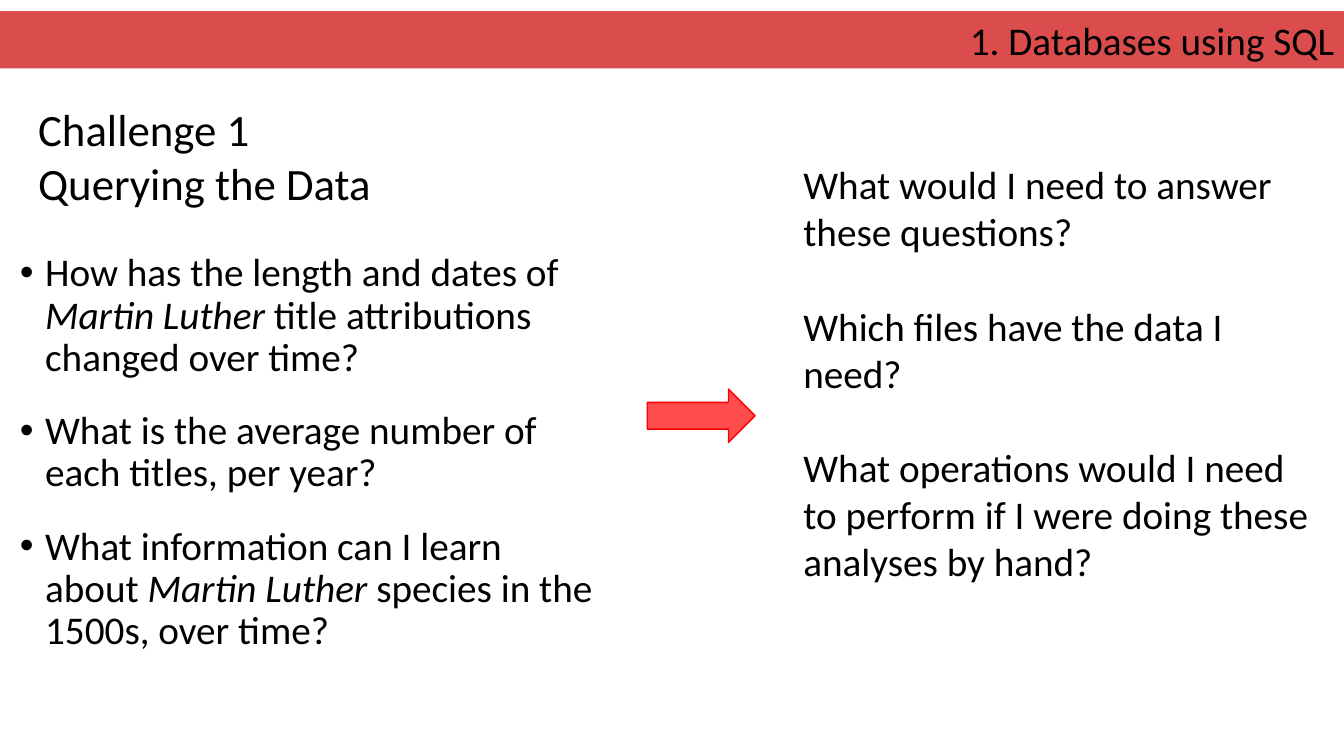
from lxml import etree
from pptx import Presentation
from pptx.dml.color import RGBColor
from pptx.enum.shapes import MSO_SHAPE
from pptx.enum.text import MSO_ANCHOR, PP_ALIGN
from pptx.oxml.ns import qn
from pptx.util import Inches, Pt

RECTANGLE, RIGHT_ARROW = MSO_SHAPE.RECTANGLE, MSO_SHAPE.RIGHT_ARROW
LEFT, RIGHT, TOP = PP_ALIGN.LEFT, PP_ALIGN.RIGHT, MSO_ANCHOR.TOP

FONT = "Calibri"
BLACK, DARK_RED, RED = "000000", "CC0000", "FF0000"
OPACITY = 70
ITALIC_NAME = "Martin Luther"

BANNER = ["1. Databases using SQL"]
HEADING = ["Challenge 1", "Querying the Data"]
RESEARCH_QUESTIONS = [
    "How has the length and dates of Martin Luther title attributions changed over time?",
    "What is the average number of each titles, per year?",
    "What information can I learn about Martin Luther species in the 1500s, over time?",
]
PLANNING_QUESTIONS = [
    "What would I need to answer these questions?",
    "Which files have the data I need?",
    "What operations would I need to perform if I were doing these analyses by hand?",
]

BANNER_AREA = (0, 0.11, 13.33, 0.57)
HEADING_AREA = (0.28, 0.96, 3.54, 1.18)
RESEARCH_AREA = (0.1, 2.46, 5.94, 4.76)
ARROW_AREA = (6.42, 3.86, 1.07, 0.53)
PLANNING_AREA = (7.87, 1.54, 5.37, 4.34)

BULLET_FORMAT = {"line_spacing": 0.9, "space_before": Pt(10), "space_after": Pt(12)}
BULLET_INDENT = Inches(0.25)
PLANNING_GAP = Pt(34)


def color(value):
    return RGBColor.from_string(value)


def set_format(target, values):
    for name, value in values.items():
        setattr(target, name, value)


def add_bullet(para):
    properties = para._p.get_or_add_pPr()
    properties.set("marL", str(BULLET_INDENT))
    properties.set("indent", str(-BULLET_INDENT))
    etree.SubElement(properties, qn("a:buFont")).set("typeface", "Arial")
    etree.SubElement(properties, qn("a:buChar")).set("char", "•")


def write_text(box, lines, size=28, wrap=True, align=LEFT, para_format=None, bullets=False, gap=None):
    frame = box.text_frame
    set_format(frame, {"word_wrap": wrap, "vertical_anchor": TOP})
    for index, line in enumerate(lines):
        para = frame.paragraphs[0] if index == 0 else frame.add_paragraph()
        set_format(para, {"alignment": align, **(para_format or {})})
        if gap and index:
            para.space_before = gap
        if bullets:
            add_bullet(para)
        before, name, after = line.partition(ITALIC_NAME)
        for text in filter(None, (before, name, after)):
            span = para.add_run()
            span.text = text
            set_format(span.font, {"name": FONT, "size": Pt(size), "italic": text == ITALIC_NAME})
            span.font.color.rgb = color(BLACK)


def add_text(page, area, lines, **options):
    box = page.shapes.add_textbox(*map(Inches, area))
    write_text(box, lines, **options)


def add_tinted_shape(page, kind, area, fill, line=None):
    shape = page.shapes.add_shape(kind, *map(Inches, area))
    shape.shadow.inherit = False
    shape.fill.solid()
    shape.fill.fore_color.rgb = color(fill)
    tint = shape._element.spPr.find(qn("a:solidFill"))[0]
    etree.SubElement(tint, qn("a:alpha")).set("val", str(OPACITY * 1000))
    if line:
        shape.line.color.rgb = color(line)
        shape.line.width = Pt(1)
    else:
        shape.line.fill.background()
    return shape


def main():
    deck = Presentation()
    set_format(deck, {"slide_width": Inches(13.33), "slide_height": Inches(7.5)})
    page = deck.slides.add_slide(deck.slide_layouts[6])

    add_text(page, RESEARCH_AREA, RESEARCH_QUESTIONS, para_format=BULLET_FORMAT, bullets=True)
    banner = add_tinted_shape(page, RECTANGLE, BANNER_AREA, DARK_RED)
    write_text(banner, BANNER, align=RIGHT)
    add_text(page, HEADING_AREA, HEADING, size=32, wrap=False)
    add_tinted_shape(page, RIGHT_ARROW, ARROW_AREA, RED, line=RED)
    add_text(page, PLANNING_AREA, PLANNING_QUESTIONS, gap=PLANNING_GAP)

    deck.save("out.pptx")


if __name__ == "__main__":
    main()
